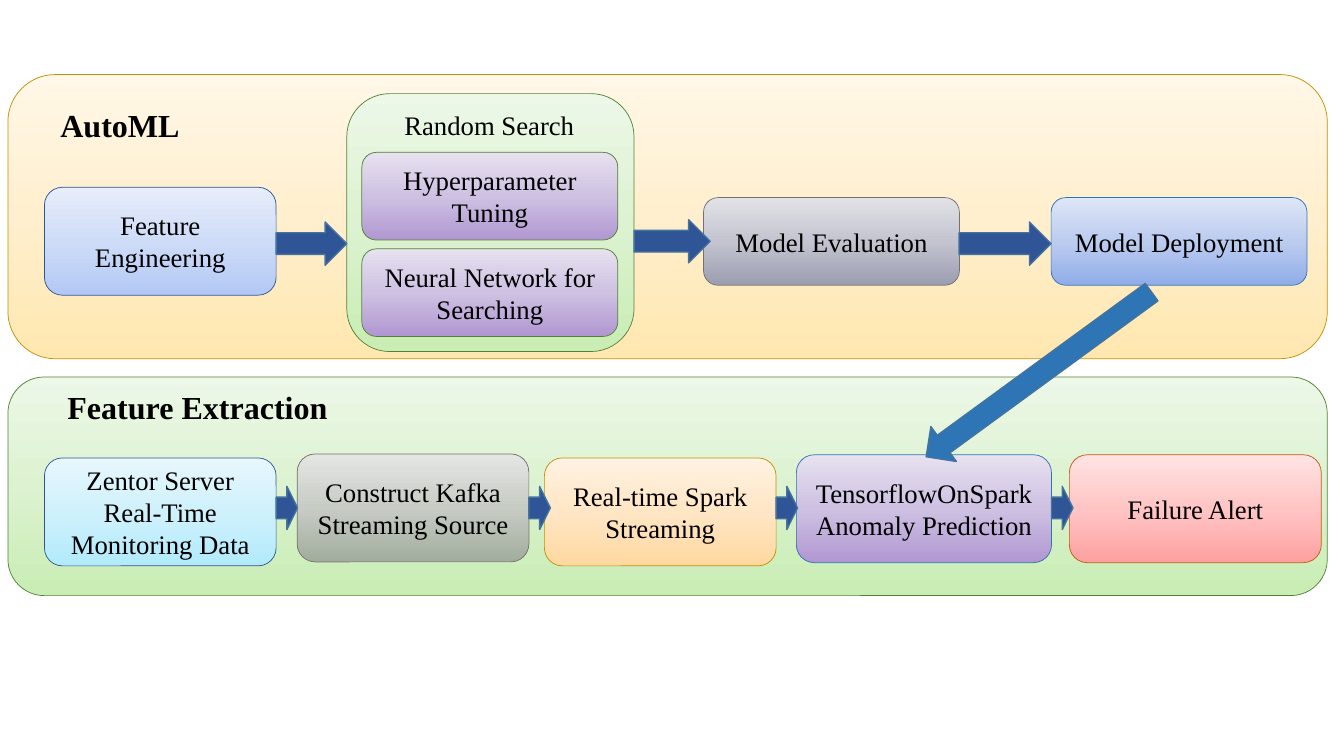
from copy import deepcopy
from math import atan2, degrees, hypot

from pptx import Presentation
from pptx.dml.color import RGBColor
from pptx.enum.shapes import MSO_SHAPE
from pptx.enum.text import MSO_ANCHOR, MSO_AUTO_SIZE, PP_ALIGN
from pptx.oxml.ns import qn
from pptx.util import Cm, Pt

ROUNDED = MSO_SHAPE.ROUNDED_RECTANGLE
RIGHT_ARROW = MSO_SHAPE.RIGHT_ARROW
CENTER = PP_ALIGN.CENTER
MIDDLE = MSO_ANCHOR.MIDDLE
GROW = MSO_AUTO_SIZE.SHAPE_TO_FIT_TEXT

FONT = "Times New Roman"
BODY_SIZE, HEADING_SIZE = 19.1, 22.9

# Gradients from bottom to top
GREEN = ("C9EDB4", "DCF2D0", "EDF8E8")
YELLOW = ("FFE7AF", "FFEFCE", "FFF7E7")
PURPLE = ("B197D2", "CEC1E2", "E7E1F0")
PERIWINKLE = ("B2C8F5", "CFDCF8", "E7EDFB")
STEEL = ("9B9DB1", "C3C4CF", "E2E2E7")
BLUE = ("8FADE9", "BCCCEF", "DEE6F7")
CYAN = ("B2EAFB", "CFF1FC", "E7F7FD")
SAGE = ("A2AD9E", "C7CCC5", "E4E6E3")
ORANGE = ("FFD8A0", "FFE6C5", "FFF2E3")
RED = ("FFA0A0", "FFC5C5", "FFE3E3")

# Panels: left, top, width, height, gradient, outline
PANELS = [
    (0.2, 9.5, 33.25, 5.51, GREEN, "548235"),
    (0.2, 1.88, 33.25, 7.16, YELLOW, "BF9000"),
    (8.74, 2.36, 7.24, 6.5, GREEN, "548235"),
]
# Headings: text, left, top, width, height, size, bold
HEADINGS = [
    ("AutoML", 1.22, 2.54, 3.61, 1.22, HEADING_SIZE, True),
    ("Feature Extraction", 1.22, 9.63, 7.52, 1.24, HEADING_SIZE, True),
    ("Random Search", 8.94, 2.62, 6.78, 1.07, BODY_SIZE, False),
]
# Steps: text, left, top, width, gradient, outline
TALL, SHORT = 2.72, 2.21
AUTOML_STEPS = [
    ("Model Evaluation", 17.73, 4.98, 6.45, STEEL, "767171"),
    ("Model Deployment", 26.49, 4.98, 6.45, BLUE, "2E75B6"),
    ("Hyperparameter Tuning", 9.12, 3.84, 6.45, PURPLE, "548235"),
    ("Neural Network for Searching", 9.12, 6.27, 6.45, PURPLE, "548235"),
]
FEATURE_ENGINEERING = ("Feature Engineering", 1.12, 4.72, 5.84, PERIWINKLE, "2F5597")
EXTRACTION_STEPS = [
    ("Zentor Server Real-Time Monitoring Data", 1.12, 11.54, 5.84, CYAN, "2F5597"),
    ("Construct Kafka Streaming Source", 7.49, 11.44, 5.84, SAGE, "767171"),
    ("Real-time Spark Streaming", 13.72, 11.54, 5.84, ORANGE, "BF9000"),
    ("TensorflowOnSpark Anomaly Prediction", 20.07, 11.46, 6.43, PURPLE, "2E75B6"),
    ("Failure Alert", 26.95, 11.46, 6.35, RED, "C55A11"),
]
# Arrows: start x, start y, tip x, tip y
AUTOML_ARROWS = [
    (6.96, 6.14, 8.74, 6.14),
    (15.98, 6.08, 17.9, 6.08),
    (24.17, 6.14, 26.49, 6.14),
]
DEPLOYMENT_ARROW = (29.02, 7.36, 23.34, 11.51)
EXTRACTION_ARROW_Y, EXTRACTION_ARROW_LENGTH = 12.8, 0.54
ARROW_THICKNESS = 1.09

deck = Presentation()
deck.slide_width, deck.slide_height = Cm(33.87), Cm(19.05)
slide = deck.slides.add_slide(deck.slide_layouts[6])


def color(hex_code):
    return RGBColor.from_string(hex_code)


def write(frame, text, size=BODY_SIZE, bold=False):
    frame.word_wrap = True
    paragraph = frame.paragraphs[0]
    paragraph.alignment = CENTER
    run = paragraph.add_run()
    run.text = text
    run.font.name, run.font.size, run.font.bold = FONT, Pt(size), bold
    run.font.color.rgb = color("000000")


def add_outlined(kind, left, top, width, height, outline, weight):
    shape = slide.shapes.add_shape(kind, Cm(left), Cm(top), Cm(width), Cm(height))
    shape.shadow.inherit = False
    shape.line.color.rgb = color(outline)
    shape.line.width = Pt(weight)
    return shape


def add_block(left, top, width, height, gradient, outline):
    block = add_outlined(ROUNDED, left, top, width, height, outline, 0.5)
    block.fill.gradient()
    block.fill.gradient_angle = 90
    # A third stop goes between the two default ones
    stops = block._element.spPr.find(qn("a:gradFill")).find(qn("a:gsLst"))
    stops.insert(1, deepcopy(stops[0]))
    for stop, position, shade in zip(block.fill.gradient_stops, (0, 0.5, 1), gradient):
        stop.position = position
        stop.color.rgb = color(shade)
    return block


def add_step(text, left, top, width, gradient, outline, height):
    frame = add_block(left, top, width, height, gradient, outline).text_frame
    frame.vertical_anchor = MIDDLE
    write(frame, text)


def add_arrow(x1, y1, x2, y2, fill="2F5597"):
    length = hypot(x2 - x1, y2 - y1)
    left = (x1 + x2 - length) / 2
    top = (y1 + y2 - ARROW_THICKNESS) / 2
    arrow = add_outlined(RIGHT_ARROW, left, top, length, ARROW_THICKNESS, "43739E", 1)
    arrow.rotation = degrees(atan2(y2 - y1, x2 - x1))
    arrow.fill.solid()
    arrow.fill.fore_color.rgb = color(fill)


# Panels and headings
for panel in PANELS:
    add_block(*panel)
for text, left, top, width, height, size, bold in HEADINGS:
    heading = slide.shapes.add_textbox(Cm(left), Cm(top), Cm(width), Cm(height))
    heading.text_frame.auto_size = GROW
    write(heading.text_frame, text, size, bold)

# Steps
for step in AUTOML_STEPS:
    add_step(*step, SHORT)
for step in [FEATURE_ENGINEERING] + EXTRACTION_STEPS:
    add_step(*step, TALL)

# Arrows between the steps
for ends in AUTOML_ARROWS:
    add_arrow(*ends)
for _, left, _, width, _, _ in EXTRACTION_STEPS[:-1]:
    start = left + width
    add_arrow(start, EXTRACTION_ARROW_Y, start + EXTRACTION_ARROW_LENGTH, EXTRACTION_ARROW_Y)
add_arrow(*DEPLOYMENT_ARROW, fill="2E75B6")

deck.save("out.pptx")
